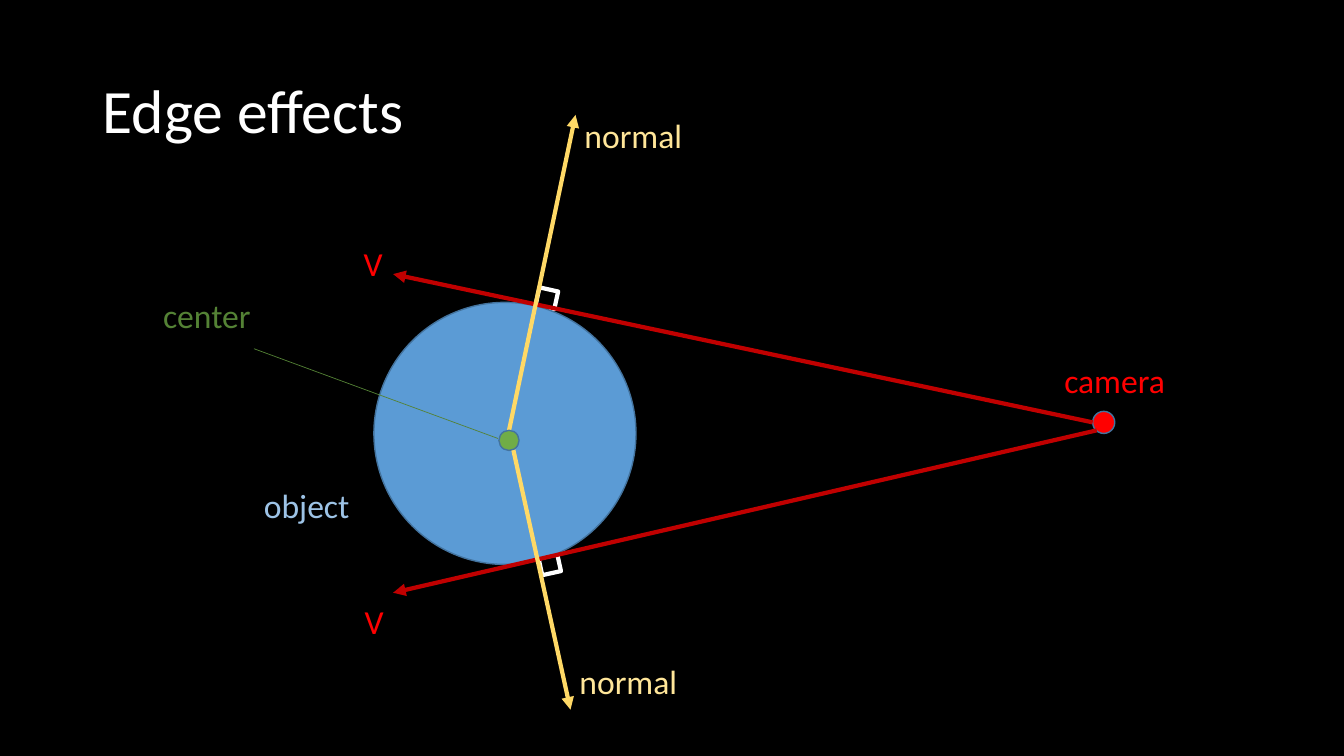
from dataclasses import dataclass

from lxml import etree
from pptx import Presentation
from pptx import util as u
from pptx.dml import color
from pptx.enum import shapes, text
from pptx.oxml import ns

COLORS = {
    "background": "000000",
    "white": "FFFFFF",
    "object": "5B9BD5",
    "outline": "43739E",
    "camera": "FF0000",
    "view": "C00000",
    "normal": "FFD966",
    "center": "70AD47",
    "center_text": "548235",
    "object_text": "9DC3E6",
    "normal_text": "FFE699",
}


@dataclass(frozen=True)
class Label:
    words: str
    left: float
    top: float
    color: str
    width: float = 99.4
    height: float = 36.7
    size: float = 24
    anchor: text.MSO_ANCHOR = text.MSO_ANCHOR.TOP


@dataclass(frozen=True)
class Disc:
    left: float
    top: float
    diameter: float
    color: str


@dataclass(frozen=True)
class RightAngle:
    left: float
    top: float
    height: float
    rotation: float
    width: float = 13.7


@dataclass(frozen=True)
class Ray:
    start: tuple[float, float]
    end: tuple[float, float]
    color: str
    weight: float = 3
    arrow: bool = True


CENTER = (363.6, 307.4)

RIGHT_ANGLES = [
    RightAngle(383.8, 206.6, 13, 12.4),
    RightAngle(385.9, 397.4, 12.2, -12.4),
]
TITLE = Label("Edge effects", 66.2, 28.8, "white", 828, 104.4, 44,
              text.MSO_ANCHOR.MIDDLE)
OBJECT = Disc(267.1, 216, 187.2, "object")
CAMERA = Disc(780.5, 293.8, 15.8, "camera")
CENTER_DOT = Disc(356.4, 307.4, 14.4, "center")
RAYS = [
    Ray((780.5, 301.7), (280.8, 195.8), "view"),
    Ray((783.4, 307.4), (280.8, 423.4), "view"),
    Ray(CENTER, (411.1, 82.1), "normal"),
    Ray(CENTER, (407.5, 506.9), "normal"),
]
CENTER_LEADER = Ray((355.7, 313.2), (181.4, 249.1), "center_text", 0.5, False)
LABELS = [
    Label("camera", 753.1, 257, "camera"),
    Label("object", 181.4, 346.3, "object_text"),
    Label("center", 109.4, 210.2, "center_text"),
    Label("V", 252.7, 173.5, "camera", 31),
    Label("V", 253.4, 429.1, "camera", 31),
    Label("normal", 410.4, 82.1, "normal_text"),
    Label("normal", 406.8, 471.6, "normal_text"),
]


def rgb(name: str) -> color.RGBColor:
    return color.RGBColor.from_string(COLORS[name])


def draw_label(page, label: Label) -> None:
    box = page.shapes.add_textbox(u.Pt(label.left), u.Pt(label.top),
                                  u.Pt(label.width), u.Pt(label.height))
    frame = box.text_frame
    frame.word_wrap = True
    frame.vertical_anchor = label.anchor
    para = frame.paragraphs[0]
    para.text = label.words
    para.line_spacing = 0.9
    para.font.name = "Calibri"
    para.font.size = u.Pt(label.size)
    para.font.color.rgb = rgb(label.color)


def draw_disc(page, disc: Disc) -> None:
    circle = page.shapes.add_shape(
        shapes.MSO_SHAPE.OVAL, u.Pt(disc.left), u.Pt(disc.top),
        u.Pt(disc.diameter), u.Pt(disc.diameter))
    circle.shadow.inherit = False
    circle.fill.solid()
    circle.fill.fore_color.rgb = rgb(disc.color)
    circle.line.color.rgb = rgb("outline")
    circle.line.width = u.Pt(1)


def draw_right_angle(page, mark: RightAngle) -> None:
    square = page.shapes.add_shape(
        shapes.MSO_SHAPE.RECTANGLE, u.Pt(mark.left), u.Pt(mark.top),
        u.Pt(mark.width), u.Pt(mark.height))
    square.rotation = mark.rotation
    square.shadow.inherit = False
    square.fill.background()
    square.line.color.rgb = rgb("white")
    square.line.width = u.Pt(3)


def draw_ray(page, ray: Ray) -> None:
    line = page.shapes.add_connector(
        shapes.MSO_CONNECTOR.STRAIGHT,
        *(u.Pt(length) for length in ray.start + ray.end))
    line.line.color.rgb = rgb(ray.color)
    line.line.width = u.Pt(ray.weight)
    properties = line._element.spPr
    if ray.arrow:
        outline = properties.find(ns.qn("a:ln"))
        etree.SubElement(outline, ns.qn("a:tailEnd"), type="triangle")
    etree.SubElement(properties, ns.qn("a:effectLst"))


def main() -> None:
    deck = Presentation()
    deck.slide_width, deck.slide_height = u.Pt(960), u.Pt(540)
    page = deck.slides.add_slide(deck.slide_layouts[6])
    page.background.fill.solid()
    page.background.fill.fore_color.rgb = rgb("background")

    for mark in RIGHT_ANGLES:
        draw_right_angle(page, mark)
    draw_label(page, TITLE)
    for disc in (OBJECT, CAMERA):
        draw_disc(page, disc)
    for ray in RAYS:
        draw_ray(page, ray)
    draw_disc(page, CENTER_DOT)
    draw_ray(page, CENTER_LEADER)
    for label in LABELS:
        draw_label(page, label)

    deck.save("out.pptx")


if __name__ == "__main__":
    main()
